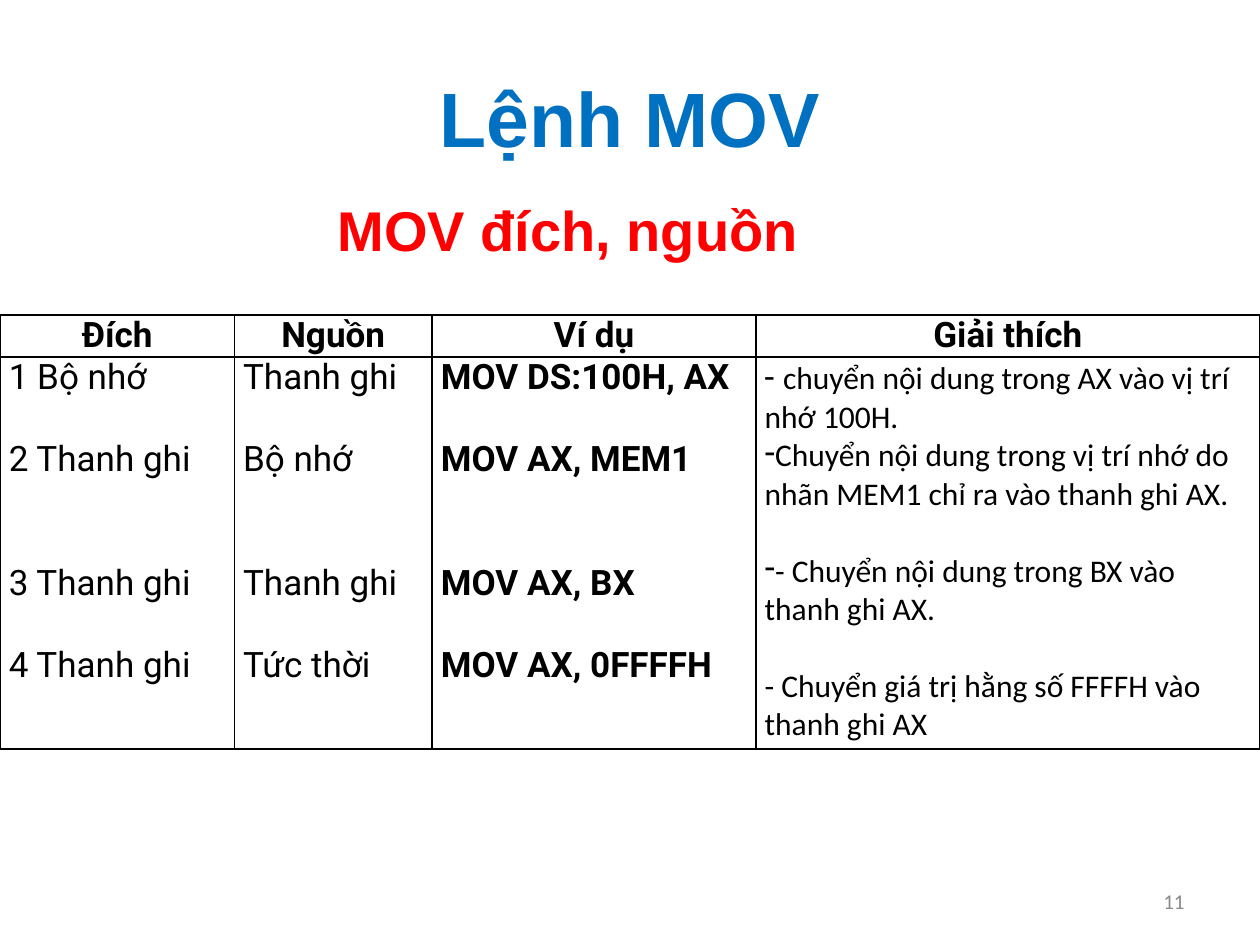
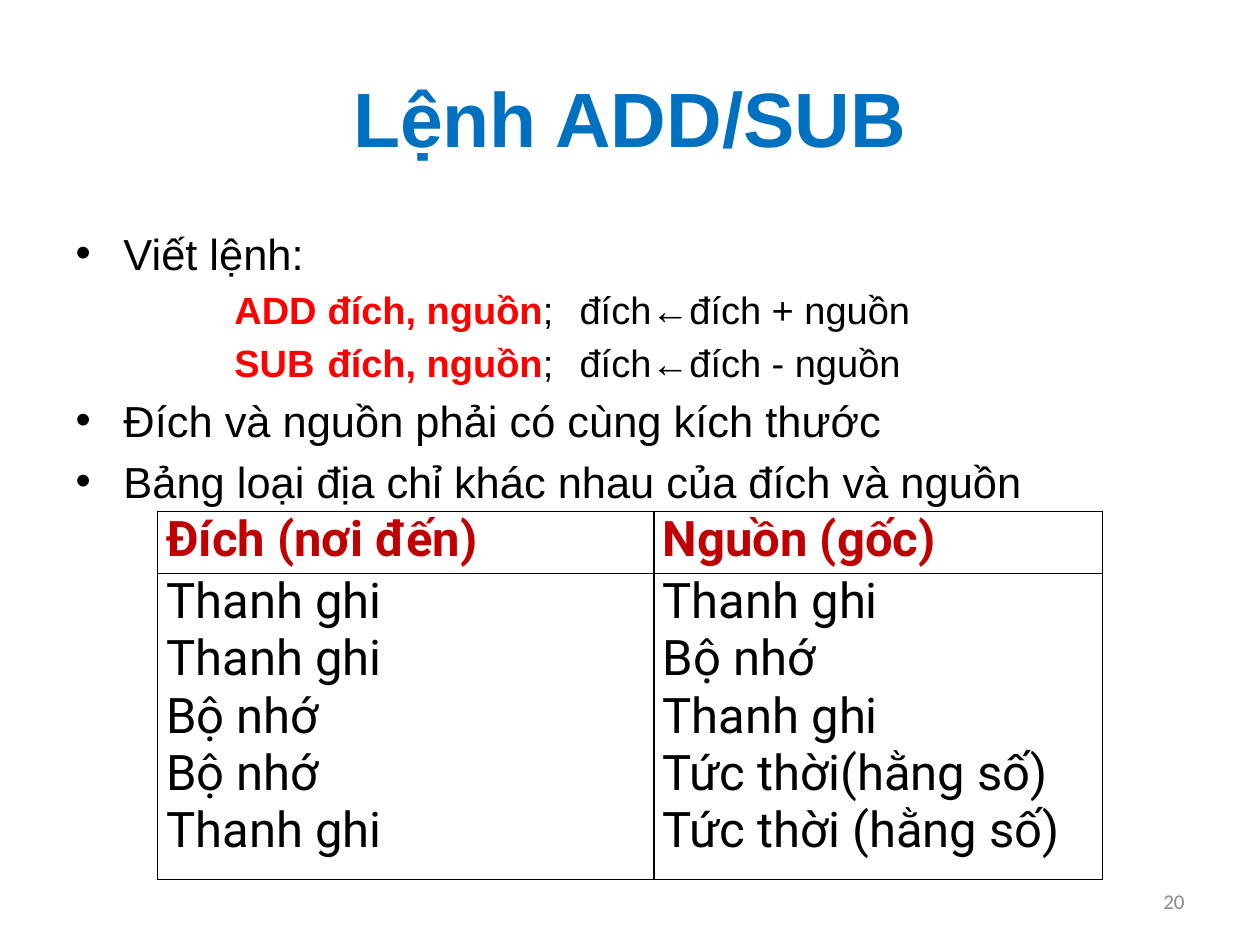
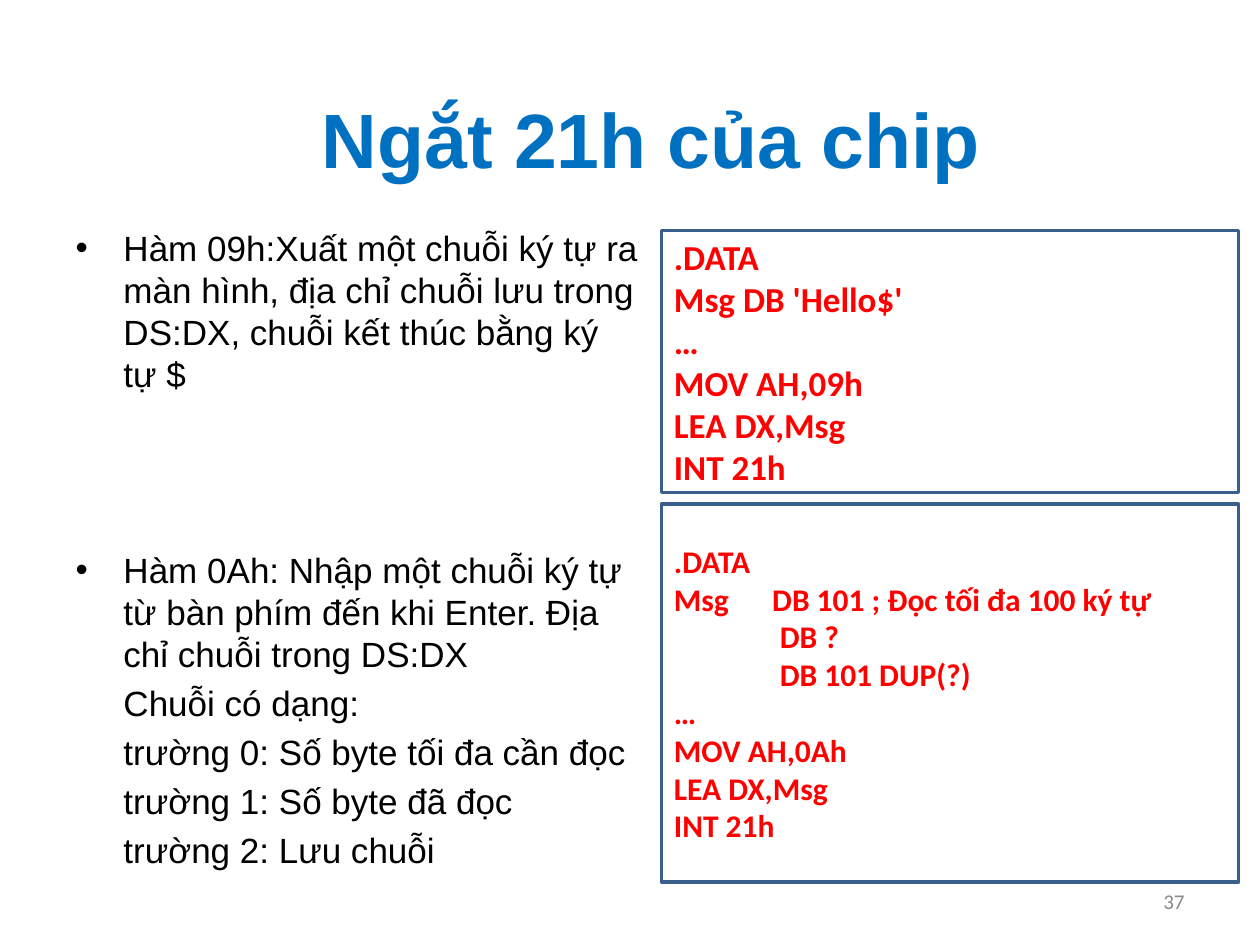
from dataclasses import dataclass
from typing import NamedTuple

from lxml.etree import SubElement
from pptx import Presentation
from pptx.dml.color import RGBColor
from pptx.enum.shapes import MSO_SHAPE
from pptx.enum.text import MSO_ANCHOR, MSO_AUTO_SIZE, PP_ALIGN
from pptx.oxml.ns import qn
from pptx.util import Pt

SCALE = 9144
BLUE = RGBColor(0x00, 0x70, 0xC0)
RED = RGBColor(0xFF, 0x00, 0x00)
DARK_RED = RGBColor(0xC0, 0x00, 0x00)
BLACK = RGBColor(0x00, 0x00, 0x00)
WHITE = RGBColor(0xFF, 0xFF, 0xFF)
GRAY = RGBColor(0x89, 0x89, 0x89)
NAVY = RGBColor(0x3A, 0x5F, 0x8C)
TITLE_BOX = (50, 30, 900, 125)


class Style(NamedTuple):
    """Look of a run of text."""
    size: float
    font: str = "Arial"
    color: RGBColor = BLACK
    bold: bool = False


@dataclass
class Para:
    """Runs of one paragraph and how they are set."""
    runs: list
    align: PP_ALIGN = None
    gap: float = None
    level: int = 0
    left: int = None
    first: int = 0
    mark: str = None
    tabs: tuple = ()


def px(num):
    """Turn px into EMU."""
    return round(num * SCALE)


def line(text, style, **kwargs):
    """Make a paragraph of one run."""
    return Para([(text, style)], **kwargs)


def format_para(para, data):
    """Set spacing, indent, bullet and tabs of a paragraph."""
    para.level = data.level
    if data.align is not None:
        para.alignment = data.align
    if data.gap is not None:
        para.space_before = Pt(data.gap)
    props = para._p.get_or_add_pPr()
    if data.left is not None:
        props.set("marL", str(px(data.left)))
        props.set("indent", str(px(data.first)))
    if data.mark:
        SubElement(props, qn("a:buChar"), char=data.mark)
    elif data.mark == "":
        SubElement(props, qn("a:buNone"))
    if data.tabs:
        stops = SubElement(props, qn("a:tabLst"))
        for stop in data.tabs:
            SubElement(stops, qn("a:tab"), pos=str(px(stop)), algn="l")


def write(frame, paras):
    """Fill a text frame run by run."""
    for num, data in enumerate(paras):
        para = frame.add_paragraph() if num else frame.paragraphs[0]
        format_para(para, data)
        for text, style in data.runs:
            run = para.add_run()
            run.text = text
            run.font.size = Pt(style.size)
            run.font.name = style.font
            run.font.bold = style.bold
            run.font.color.rgb = style.color


def fill_holder(shape, box, paras):
    """Move a placeholder and fill it."""
    shape.left, shape.top, shape.width, shape.height = map(px, box)
    shape.text_frame.auto_size = MSO_AUTO_SIZE.NONE
    write(shape.text_frame, paras)


def add_text(slide, box, paras, anchor=MSO_ANCHOR.TOP):
    """Add a text box that wraps."""
    frame = slide.shapes.add_textbox(*map(px, box)).text_frame
    frame.word_wrap = True
    frame.vertical_anchor = anchor
    write(frame, paras)


def add_code(slide, box, paras):
    """Add a framed box of code."""
    shape = slide.shapes.add_shape(MSO_SHAPE.RECTANGLE, *map(px, box))
    shape.shadow.inherit = False
    shape.fill.solid()
    shape.fill.fore_color.rgb = WHITE
    shape.line.color.rgb = NAVY
    shape.line.width = Pt(2)
    shape.text_frame.vertical_anchor = MSO_ANCHOR.MIDDLE
    for para in paras:
        para.align = PP_ALIGN.LEFT
    write(shape.text_frame, paras)


def add_border(cell):
    """Draw thin black lines on all sides of a cell."""
    props = cell._tc.get_or_add_tcPr()
    for side in ("lnL", "lnR", "lnT", "lnB"):
        edge = SubElement(props, qn(f"a:{side}"), w=str(Pt(1)))
        fill = SubElement(edge, qn("a:solidFill"))
        SubElement(fill, qn("a:srgbClr"), val=str(BLACK))


def add_grid(slide, spot, cols, rows, cells):
    """Add a bordered table of cells that hold paragraphs."""
    box = (*spot, sum(cols), sum(rows))
    table = slide.shapes.add_table(len(rows), len(cols), *map(px, box)).table
    table.first_row = table.horz_banding = False
    for col, width in zip(table.columns, cols):
        col.width = px(width)
    for row, height, items in zip(table.rows, rows, cells):
        row.height = px(height)
        for cell, paras in zip(row.cells, items):
            cell.margin_left = cell.margin_right = px(7)
            cell.margin_top = cell.margin_bottom = 0
            add_border(cell)
            cell.fill.background()
            write(cell.text_frame, paras)


def add_slide(deck, layout, title, page, box=TITLE_BOX):
    """Add a slide with its title and page number."""
    slide = deck.slides.add_slide(deck.slide_layouts[layout])
    head = line(title, Style(44, color=BLUE, bold=True), align=PP_ALIGN.CENTER)
    fill_holder(slide.shapes.title, box, [head])
    foot = line(page, Style(12, "Calibri", GRAY), align=PP_ALIGN.RIGHT)
    add_text(slide, (717, 695, 233, 40), [foot], MSO_ANCHOR.MIDDLE)
    return slide


def add_mov(deck):
    """Build the slide on MOV."""
    slide = add_slide(deck, 5, "Lệnh MOV", "11")
    add_text(slide, (258, 150, 408, 64),
             [line("MOV đích, nguồn", Style(32, color=RED, bold=True))])
    plain = Style(20, "Roboto")
    bold = plain._replace(bold=True)
    small = Style(18, "Calibri")
    gaps = (0, 23.5, 47, 23.5)
    cols = (
        (plain, ("1 Bộ nhớ", "2 Thanh ghi", "3 Thanh ghi", "4 Thanh ghi")),
        (plain, ("Thanh ghi", "Bộ nhớ", "Thanh ghi", "Tức thời")),
        (bold, ("MOV DS:100H, AX", "MOV AX, MEM1", "MOV AX, BX",
                "MOV AX, 0FFFFH")),
    )
    body = [[line(text, style, gap=gap) for text, gap in zip(texts, gaps)]
            for style, texts in cols]
    body.append([
        Para([("- ", plain),
              ("chuyển nội dung trong AX vào vị trí nhớ 100H.", small)]),
        line("Chuyển nội dung trong vị trí nhớ do nhãn MEM1 chỉ ra vào "
             "thanh ghi AX.", small, mark="-"),
        line("- Chuyển nội dung trong BX vào thanh ghi AX.", small,
             mark="-", gap=22),
        line("- Chuyển giá trị hằng số FFFFH vào thanh ghi AX", small, gap=22),
    ])
    head = [[line(text, bold, align=PP_ALIGN.CENTER)]
            for text in ("Đích", "Nguồn", "Ví dụ", "Giải thích")]
    add_grid(slide, (0, 250), (186, 157, 257, 400), (31, 311), (head, body))


def add_sum(deck):
    """Build the slide on ADD and SUB."""
    slide = add_slide(deck, 1, "Lệnh ADD/SUB", "20")
    large, small = Style(24.8), Style(21.7)
    strong = small._replace(color=RED, bold=True)
    forms = [Para([(f"{name}\tđích, nguồn", strong),
                   (f";\tđích←đích {sign} nguồn", small)],
                  level=1, left=0, first=126, mark="", tabs=(216, 412))
             for name, sign in (("ADD", "+"), ("SUB", "-"))]
    points = [line(text, large, left=38, first=-38, mark="•") for text in (
        "Viết lệnh:", "Đích và nguồn phải có cùng kích thước",
        "Bảng loại địa chỉ khác nhau của đích và nguồn")]
    fill_holder(slide.placeholders[1], (50, 175, 900, 200),
                [points[0], *forms, *points[1:]])
    plain = Style(28, "Roboto")
    head = plain._replace(color=DARK_RED, bold=True)
    rows = (
        (head, (["Đích (nơi đến)"], ["Nguồn (gốc)"])),
        (plain, (["Thanh ghi", "Thanh ghi", "Bộ nhớ", "Bộ nhớ", "Thanh ghi"],
                 ["Thanh ghi", "Bộ nhớ", "Thanh ghi", "Tức thời(hằng số)",
                  "Tức thời (hằng số)"])),
    )
    cells = [[[line(text, style, align=PP_ALIGN.JUSTIFY) for text in texts]
              for texts in row] for style, row in rows]
    add_grid(slide, (125, 406), (394, 356), (49, 243), cells)


def add_int(deck):
    """Build the slide on interrupt 21h."""
    slide = add_slide(deck, 1, "Ngắt 21h của chip", "37", (67, 47, 900, 125))
    style = Style(20)
    points = [line(text, style, left=38, first=-38, mark="•", gap=gap)
              for text, gap in (
        ("Hàm 09h:Xuất một chuỗi ký tự ra màn hình, địa chỉ chuỗi lưu trong "
         "DS:DX, chuỗi kết thúc bằng ký tự $", None),
        ("Hàm 0Ah: Nhập một chuỗi ký tự từ bàn phím đến khi Enter. "
         "Địa chỉ chuỗi trong DS:DX", 88))]
    fields = [line(text, style, left=38, mark="") for text in (
        "Chuỗi có dạng:", "trường 0: Số byte tối đa cần đọc",
        "trường 1: Số byte đã đọc", "trường 2: Lưu chuỗi")]
    fill_holder(slide.placeholders[1], (50, 175, 467, 533), points + fields)
    code = Style(20, "Calibri", RED, True)
    add_code(slide, (525, 183, 458, 208), [line(text, code) for text in (
        ".DATA", "Msg DB 'Hello$'", "…", "MOV AH,09h", "LEA DX,Msg",
        "INT 21h")])
    code = code._replace(size=18)
    add_code(slide, (525, 400, 458, 300), [
        line(".DATA", code),
        line("Msg\tDB 101 ; Đọc tối đa 100 ký tự", code, tabs=(78,)),
        *(line(text, code, left=84) for text in ("DB ?", "DB 101 DUP(?)")),
        *(line(text, code) for text in (
            "…", "MOV AH,0Ah", "LEA DX,Msg", "INT 21h")),
    ])


def main():
    """Build and save the deck."""
    deck = Presentation()
    deck.slide_width, deck.slide_height = px(1000), px(750)
    add_mov(deck)
    add_sum(deck)
    add_int(deck)
    deck.save("out.pptx")


if __name__ == "__main__":
    main()
